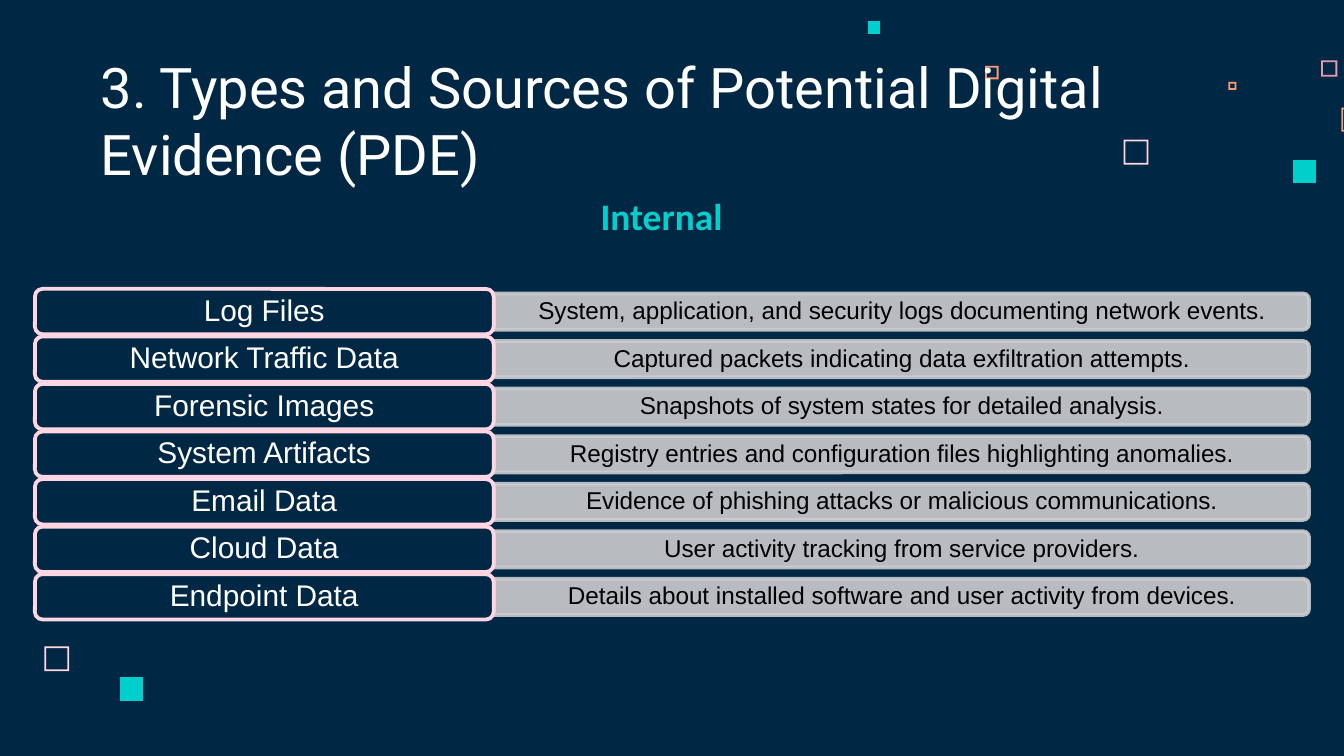
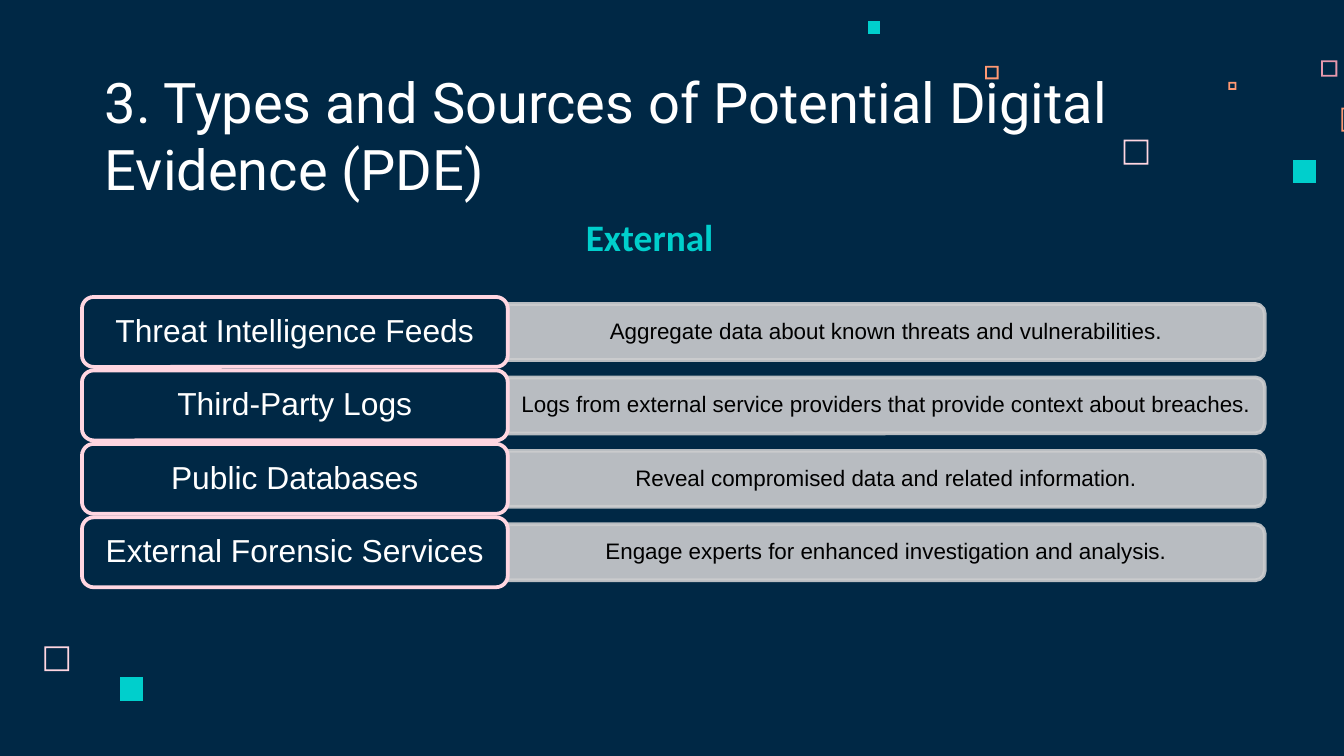
from typing import NamedTuple

from pptx import Presentation
from pptx.dml.color import RGBColor
from pptx.enum.shapes import MSO_SHAPE
from pptx.enum.text import MSO_ANCHOR, MSO_AUTO_SIZE, PP_ALIGN
from pptx.oxml.ns import qn
from pptx.oxml.xmlchemy import OxmlElement
from pptx.util import Inches, Pt

WIDTH, HEIGHT = Inches(10), Inches(5.625)
COLS = 100
NAVY, WHITE, BLACK = "002845", "FFFFFF", "000000"
TEAL, PINK, ROSE, CORAL, GREY = "00CFCC", "FFD6E1", "E898AC", "FF9973", "CCCDCF"
TITLE = "3. Types and Sources of Potential Digital Evidence (PDE)"
EDGE = 0.13
GAP = 0.05
LABEL = 0.36
BAND = 0.8


class Box(NamedTuple):
    """A place on the square grid: left, top, width, height."""
    x: float
    y: float
    w: float
    h: float


class Style(NamedTuple):
    """The look of a paragraph."""
    face: str
    size: float
    color: str
    bold: bool = False
    align: PP_ALIGN = PP_ALIGN.LEFT
    lead: float = 1.0


class Mark(NamedTuple):
    """A small square, solid or only framed."""
    x: float
    y: float
    side: float
    color: str
    solid: bool = False


class Row(NamedTuple):
    """One kind of evidence and what it holds."""
    name: str
    note: str


class Page(NamedTuple):
    """The content and layout of one slide."""
    title: Box
    head: str
    spot: Box
    list: Box
    sizes: tuple[float, float]
    rows: list[Row]


MARKS = [
    Mark(83.6, 10.4, 1.85, PINK),
    Mark(98.3, 4.5, 1.2, ROSE),
    Mark(91.4, 6.1, 0.6, CORAL),
    Mark(99.8, 8, 1.8, CORAL),
    Mark(96.2, 11.9, 1.7, TEAL, True),
    Mark(73.3, 4.9, 1, CORAL),
    Mark(64.6, 1.6, 0.9, TEAL, True),
    Mark(3.3, 48.1, 1.85, PINK),
    Mark(8.9, 50.4, 1.75, TEAL, True),
]

PAGES = [
    Page(Box(6.5, 4.1, 79.8, 10.8), "Internal", Box(43.7, 13.4, 12.6, 5.5),
         Box(2.6, 21.5, 94.8, 24.6), (16, 13), [
        Row("Log Files", "System, application, and security logs documenting network events."),
        Row("Network Traffic Data", "Captured packets indicating data exfiltration attempts."),
        Row("Forensic Images", "Snapshots of system states for detailed analysis."),
        Row("System Artifacts", "Registry entries and configuration files highlighting anomalies."),
        Row("Email Data", "Evidence of phishing attacks or malicious communications."),
        Row("Cloud Data", "User activity tracking from service providers."),
        Row("Endpoint Data", "Details about installed software and user activity from devices."),
    ]),
    Page(Box(6.8, 4.5, 79.8, 11.5), "External", Box(42.6, 14.9, 14.8, 5.5),
         Box(6.1, 22.1, 88, 21.6), (17, 12), [
        Row("Threat Intelligence Feeds", "Aggregate data about known threats and vulnerabilities."),
        Row("Third-Party Logs",
            "Logs from external service providers that provide context about breaches."),
        Row("Public Databases", "Reveal compromised data and related information."),
        Row("External Forensic Services", "Engage experts for enhanced investigation and analysis."),
    ]),
]


def unit(cells: float) -> int:
    """Turn grid cells into a length."""
    return round(cells * WIDTH / COLS)


def place(box: Box) -> list[int]:
    """Turn a box into lengths."""
    return [unit(v) for v in box]


def hue(code: str) -> RGBColor:
    """Turn a hex string into a colour."""
    return RGBColor.from_string(code)


def write(shape, text: str, style: Style, pad: tuple[float, float],
          anchor: MSO_ANCHOR) -> None:
    """Put one styled paragraph into a shape."""
    frame = shape.text_frame
    frame.word_wrap = True
    frame.auto_size = MSO_AUTO_SIZE.NONE
    frame.vertical_anchor = anchor
    frame.margin_left = frame.margin_right = unit(pad[0])
    frame.margin_top = frame.margin_bottom = unit(pad[1])
    frame.text = text
    para = frame.paragraphs[0]
    para.alignment, para.line_spacing = style.align, style.lead
    font = para.font
    font.name, font.size, font.bold = style.face, Pt(style.size), style.bold
    font.color.rgb = hue(style.color)


def block(slide, kind: MSO_SHAPE, box: Box, fill: str, line: str):
    """Draw a filled shape with a two-point outline."""
    shape = slide.shapes.add_shape(kind, *place(box))
    shape.shadow.inherit = False
    shape.fill.solid()
    shape.fill.fore_color.rgb = hue(fill)
    shape.line.color.rgb = hue(line)
    shape.line.width = Pt(2)
    return shape


def ring(x: float, y: float, side: float) -> list[tuple[int, int]]:
    """List the corners of a square."""
    far, low = x + side, y + side
    return [(unit(a), unit(b)) for a, b in ((x, y), (x, low), (far, low), (far, y))]


def stamp(slide, mark: Mark):
    """Draw one small square."""
    outer = ring(mark.x, mark.y, mark.side)
    pen = slide.shapes.build_freeform(*outer[0])
    pen.add_line_segments(outer[1:])
    if not mark.solid:
        inner = ring(mark.x + EDGE, mark.y + EDGE, mark.side - 2 * EDGE)[::-1]
        pen.move_to(*inner[0])
        pen.add_line_segments(inner[1:])
    shape = pen.convert_to_shape()
    shape.shadow.inherit = False
    shape.fill.solid()
    shape.fill.fore_color.rgb = hue(mark.color)
    shape.line.fill.background()
    return shape


def share(slide, layout) -> None:
    """Move the small squares to the layout that all slides use."""
    for code, mark in enumerate(MARKS, 100):
        node = stamp(slide, mark).element
        node.nvSpPr.cNvPr.set("id", str(code))
        layout.shapes.element.append(node)


def band(slide, box: Box) -> None:
    """Draw a see-through band, rounded at its right end."""
    turn = Box(box.x + (box.w - box.h) / 2, box.y + (box.h - box.w) / 2, box.h, box.w)
    shape = block(slide, MSO_SHAPE.ROUND_2_SAME_RECTANGLE, turn, GREY, GREY)
    shape.rotation = 90
    for node in shape.element.spPr.iter(qn("a:srgbClr")):
        alpha = OxmlElement("a:alpha")
        alpha.set("val", "90000")
        node.append(alpha)


def table(slide, page: Page) -> None:
    """Stack the rows, each a label with a band."""
    area, count = page.list, len(page.rows)
    high = area.h / (count + (count - 1) * GAP)
    wide = area.w * LABEL
    big, small = (Style("Arial", size, color, align=PP_ALIGN.CENTER, lead=0.9)
                  for size, color in zip(page.sizes, (WHITE, BLACK)))
    for index, row in enumerate(page.rows):
        top = area.y + index * high * (1 + GAP)
        strip = Box(area.x + wide, top + high * (1 - BAND) / 2, area.w - wide, high * BAND)
        band(slide, strip)
        note = slide.shapes.add_textbox(*place(strip))
        write(note, row.note, small, (0.5, 0.3), MSO_ANCHOR.MIDDLE)
        label = block(slide, MSO_SHAPE.ROUNDED_RECTANGLE,
                      Box(area.x, top, wide, high), NAVY, PINK)
        write(label, row.name, big, (0.9, 0.4), MSO_ANCHOR.MIDDLE)


def build(slide, page: Page) -> None:
    """Fill one slide."""
    title = slide.shapes.title
    title.left, title.top, title.width, title.height = place(page.title)
    write(title, TITLE, Style("Roboto", 30, WHITE), (1, 1), MSO_ANCHOR.BOTTOM)
    table(slide, page)
    head = slide.shapes.add_textbox(*place(page.spot))
    write(head, page.head, Style("Calibri", 20, TEAL, True), (1, 1), MSO_ANCHOR.TOP)


def main() -> None:
    """Make the deck."""
    deck = Presentation()
    deck.slide_width, deck.slide_height = WIDTH, HEIGHT
    back = deck.slide_master.background.fill
    back.solid()
    back.fore_color.rgb = hue(NAVY)
    layout = deck.slide_layouts[5]
    slides = [deck.slides.add_slide(layout) for _ in PAGES]
    share(slides[0], layout)
    for slide, page in zip(slides, PAGES):
        build(slide, page)
    deck.save("out.pptx")


if __name__ == "__main__":
    main()
